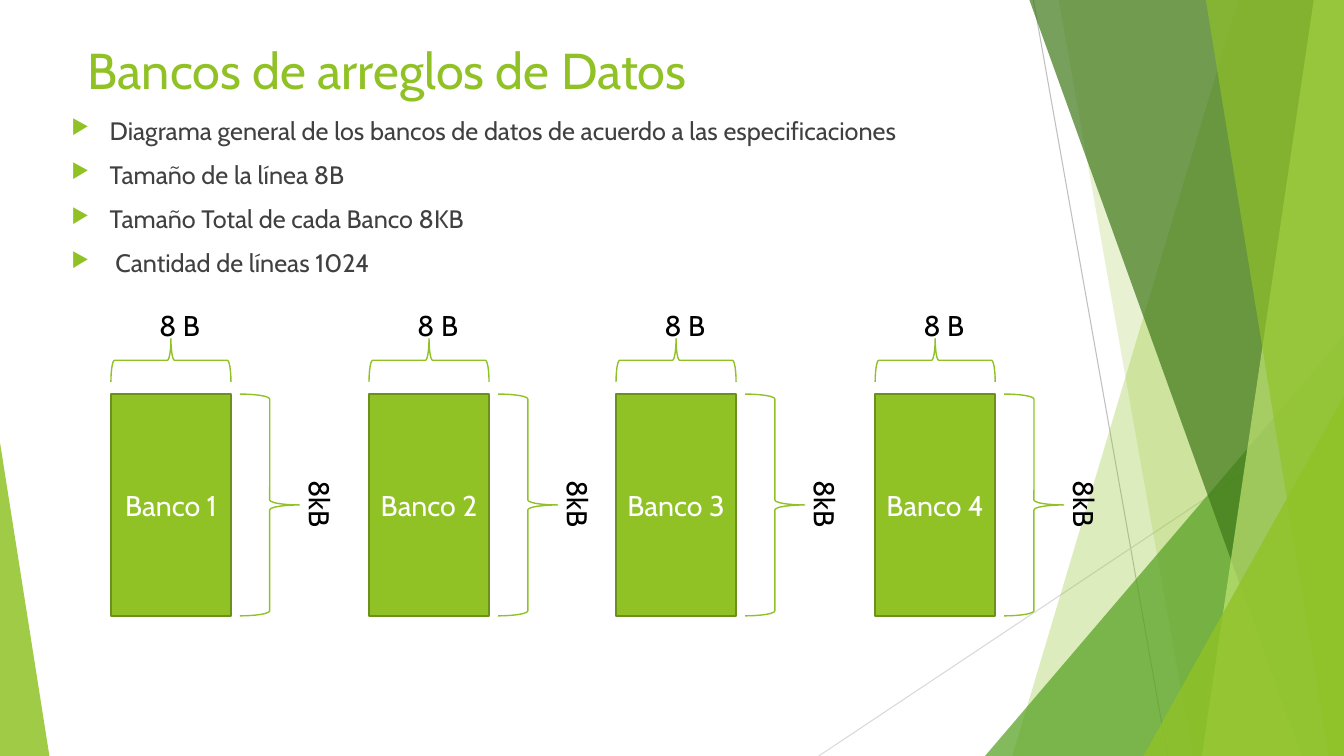
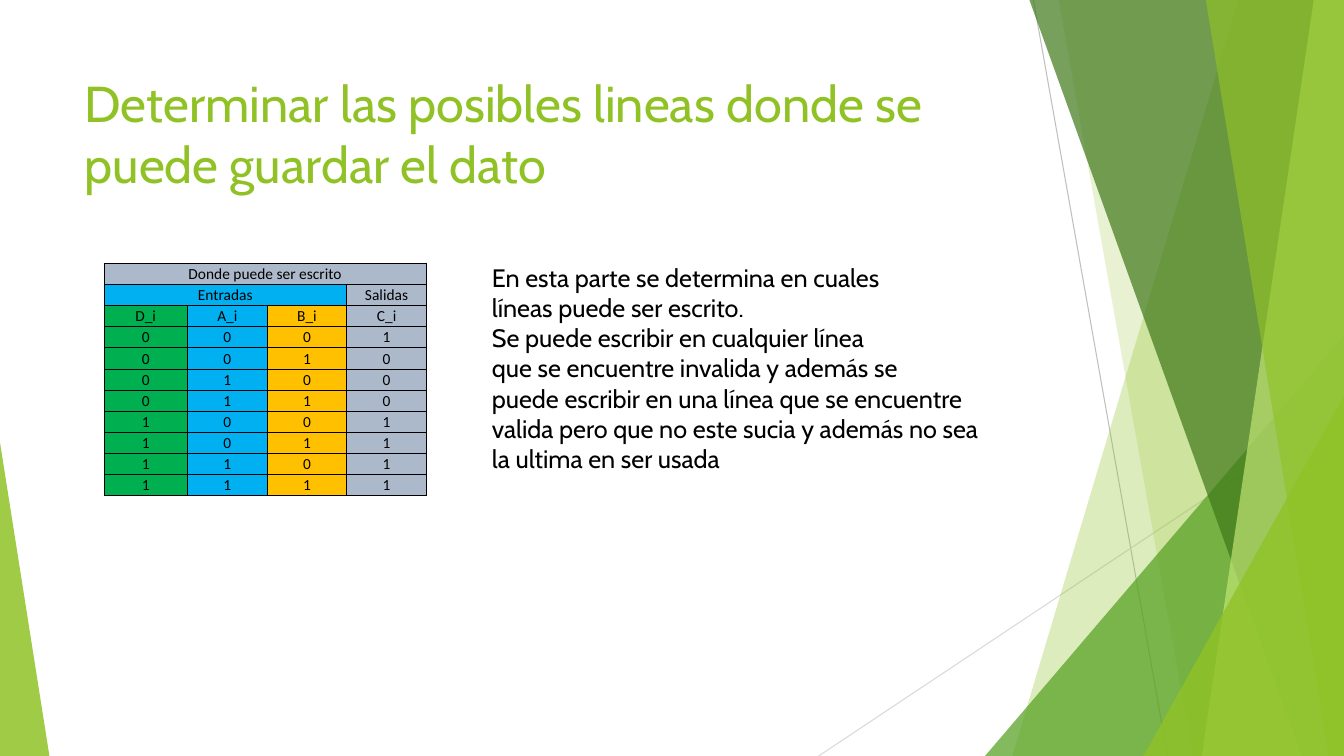
from itertools import product
from lxml.etree import SubElement as Sub
from pptx import Presentation
from pptx.dml.color import RGBColor as RGB
from pptx.enum.shapes import MSO_CONNECTOR as Conn, MSO_SHAPE as Geo
from pptx.enum.text import MSO_ANCHOR as Anchor, PP_ALIGN as Align
from pptx.oxml.ns import qn
from pptx.util import Inches, Pt

W, H = 13.33, 7.5
FONT = "Cabin"
HUE = {
    "lime": "90C226", "edge": "6B901C", "leaf": "54A021", "dark": "3F7819",
    "pale": "C0E474", "ink": "404040", "black": "000000", "white": "FFFFFF",
    "gray": "BFBFBF", "mist": "D9D9D9",
    "green": "00B050", "blue": "00B0F0", "gold": "FFC000", "slate": "ACB9CA",
}

RAYS = [("gray", 10.25, 0, 11.58, H), ("mist", W, 4.03, 8.12, H)]
BANDS = [
    ("band", "lime", 30, 12.28, 10.04),
    ("band", "lime", 20, 10.5, 11.83),
    ("peak", "leaf", 72, 9.77, 3.33, 3.56, 1),
    ("band", "dark", 70, 10.21, 12.91),
    ("band", "pale", 70, 13.03, 11.92),
    ("band", "lime", 65, 11.96, 13.18),
    ("peak", "lime", 80, 11.34, 3.93, 1.99, 1),
    ("peak", "lime", 85, 0, 4.39, 0.49, 0),
]

FACTS = [
    "Diagrama general de los bancos de datos de acuerdo a las especificaciones",
    "Tamaño de la línea 8B",
    "Tamaño Total de cada Banco 8KB",
    " Cantidad de líneas 1024",
]
BANKS = [("Banco 1", 1.1), ("Banco 2", 3.66), ("Banco 3", 6.11), ("Banco 4", 8.68)]
BANK_W, BANK_H, BANK_Y, BANK_PT = 1.19, 2.2, 3.91, 20.4

HEADS = [
    ["Donde puede ser escrito", "", "", ""],
    ["Entradas", "", "", "Salidas"],
    ["D_i", "A_i", "B_i", "C_i"],
]
SPANS = [(0, 0, 3), (1, 0, 2)]
OUT = "10001111"
TINTS = ["green", "blue", "gold", "slate"]
TOPS = [["slate"] * 4, ["blue"] * 3 + ["slate"]]
COLS, ROW_H = [0.83, 0.79, 0.79, 0.79], 0.21

NOTES = [
    "En esta parte se determina en cuales",
    "líneas puede ser escrito.",
    "Se puede escribir en cualquier línea",
    "que se encuentre invalida y además se",
    "puede escribir en una línea que se encuentre",
    "valida pero que no este sucia y además no sea",
    "la ultima en ser usada",
]


def rgb(hue):
    return RGB.from_string(HUE[hue])


def paint(shape, fill=None, line=None, width=1, alpha=None):
    shape.shadow.inherit = False
    if fill:
        shape.fill.solid()
        shape.fill.fore_color.rgb = rgb(fill)
    else:
        shape.fill.background()
    if alpha:
        color = shape.fill._xPr.find(".//" + qn("a:srgbClr"))
        Sub(color, qn("a:alpha"), val=str(alpha * 1000))
    if line:
        shape.line.color.rgb = rgb(line)
        shape.line.width = Pt(width)
    else:
        shape.line.fill.background()


def style(frame, size, hue, font=FONT, align=Align.LEFT):
    for para in frame.paragraphs:
        para.alignment = align
        for run in para.runs:
            run.font.size = Pt(size)
            run.font.name = font
            run.font.color.rgb = rgb(hue)


def add(slide, geo, *box):
    return slide.shapes.add_shape(geo, *map(Inches, box))


def write(slide, text, box, size, hue):
    shape = slide.shapes.add_textbox(*map(Inches, box))
    frame = shape.text_frame
    frame.word_wrap = True
    frame.text = text
    style(frame, size, hue)
    return shape


def band(slide, hue, alpha, top, base):
    start, *rest = [(Inches(x), Inches(y)) for x, y in
                    [(top, 0), (W, 0), (W, H), (base, H)]]
    path = slide.shapes.build_freeform(*start)
    path.add_line_segments(rest, close=True)
    paint(path.convert_to_shape(), hue, alpha=alpha)


def peak(slide, hue, alpha, x, y, wide, tip):
    shape = add(slide, Geo.ISOSCELES_TRIANGLE, x, y, wide, H - y)
    shape.adjustments[0] = tip
    paint(shape, hue, alpha=alpha)


def base(deck, title, x, y):
    slide = deck.slides.add_slide(deck.slide_layouts[6])
    for hue, *ends in RAYS:
        ray = slide.shapes.add_connector(Conn.STRAIGHT, *map(Inches, ends))
        ray.line.color.rgb = rgb(hue)
        ray.line.width = Pt(0.75)
        Sub(ray._element.spPr, qn("a:effectLst"))
    for kind, *rest in BANDS:
        {"band": band, "peak": peak}[kind](slide, *rest)
    write(slide, title, (x, y, 9.4, 1.44), 36, "lime")
    return slide


def bullet(para):
    para.space_before = Pt(10)
    props = para._p.get_or_add_pPr()
    props.set("marL", str(Inches(0.38)))
    props.set("indent", str(-Inches(0.38)))
    Sub(Sub(props, qn("a:buClr")), qn("a:srgbClr"), val=HUE["lime"])
    Sub(props, qn("a:buSzPct"), val="80000")
    Sub(props, qn("a:buChar"), char="▶")


def bank(slide, name, x):
    block = add(slide, Geo.RECTANGLE, x, BANK_Y, BANK_W, BANK_H)
    paint(block, "lime", "edge", 1.5)
    frame = block.text_frame
    frame.text = name
    frame.vertical_anchor = Anchor.MIDDLE
    style(frame, BANK_PT, "white", align=Align.CENTER)
    top = add(slide, Geo.LEFT_BRACE, x + 0.38, 2.98, 0.43, BANK_W)
    top.rotation = 90
    side = add(slide, Geo.RIGHT_BRACE, x + 1.28, BANK_Y, 0.59, BANK_H)
    for brace in (top, side):
        paint(brace, line="lime")
    write(slide, "8 B", (x + 0.38, 3.01, 1.27, 0.44), BANK_PT, "black")
    tall = write(slide, "8kB", (x + 1.73, 4.79, 0.69, 0.44), BANK_PT, "black")
    tall.rotation = 90


def border(cell):
    props = cell._tc.get_or_add_tcPr()
    for side in "LRTB":
        line = Sub(props, qn("a:ln" + side), w=str(Pt(0.5)))
        Sub(Sub(line, qn("a:solidFill")), qn("a:srgbClr"), val=HUE["black"])


def truth(slide, x, y):
    rows = HEADS + [[*bits, out] for bits, out in zip(product("01", repeat=3), OUT)]
    grid = slide.shapes.add_table(
        len(rows), len(COLS), *map(Inches, (x, y, sum(COLS), ROW_H * len(rows)))).table
    for col, wide in zip(grid.columns, COLS):
        col.width = Inches(wide)
    for r, row in enumerate(rows):
        grid.rows[r].height = Inches(ROW_H)
        tints = TOPS[r] if r < len(TOPS) else TINTS
        for c, (text, tint) in enumerate(zip(row, tints)):
            cell = grid.cell(r, c)
            border(cell)
            cell.fill.solid()
            cell.fill.fore_color.rgb = rgb(tint)
            cell.margin_left = cell.margin_right = cell.margin_top = Inches(0.01)
            cell.margin_bottom = 0
            cell.vertical_anchor = Anchor.MIDDLE
            cell.text_frame.text = text
            style(cell.text_frame, 11, "black", "Calibri", Align.CENTER)
    for r, first, last in SPANS:
        grid.cell(r, first).merge(grid.cell(r, last))


def main():
    deck = Presentation()
    deck.slide_width, deck.slide_height = Inches(W), Inches(H)

    slide = base(deck, "Bancos de arreglos de Datos", 0.77, 0.34)
    body = write(slide, "\n".join(FACTS), (0.61, 1.09, 9.4, 4.24), 18, "ink")
    for para in body.text_frame.paragraphs:
        bullet(para)
    for name, x in BANKS:
        bank(slide, name, x)

    slide = base(deck, "Determinar las posibles lineas donde se puede guardar el dato",
                 0.74, 0.67)
    truth(slide, 1.03, 2.61)
    write(slide, "\n".join(NOTES), (4.78, 2.55, 5.51, 2.22), 18, "black")
    deck.save("out.pptx")


if __name__ == "__main__":
    main()
